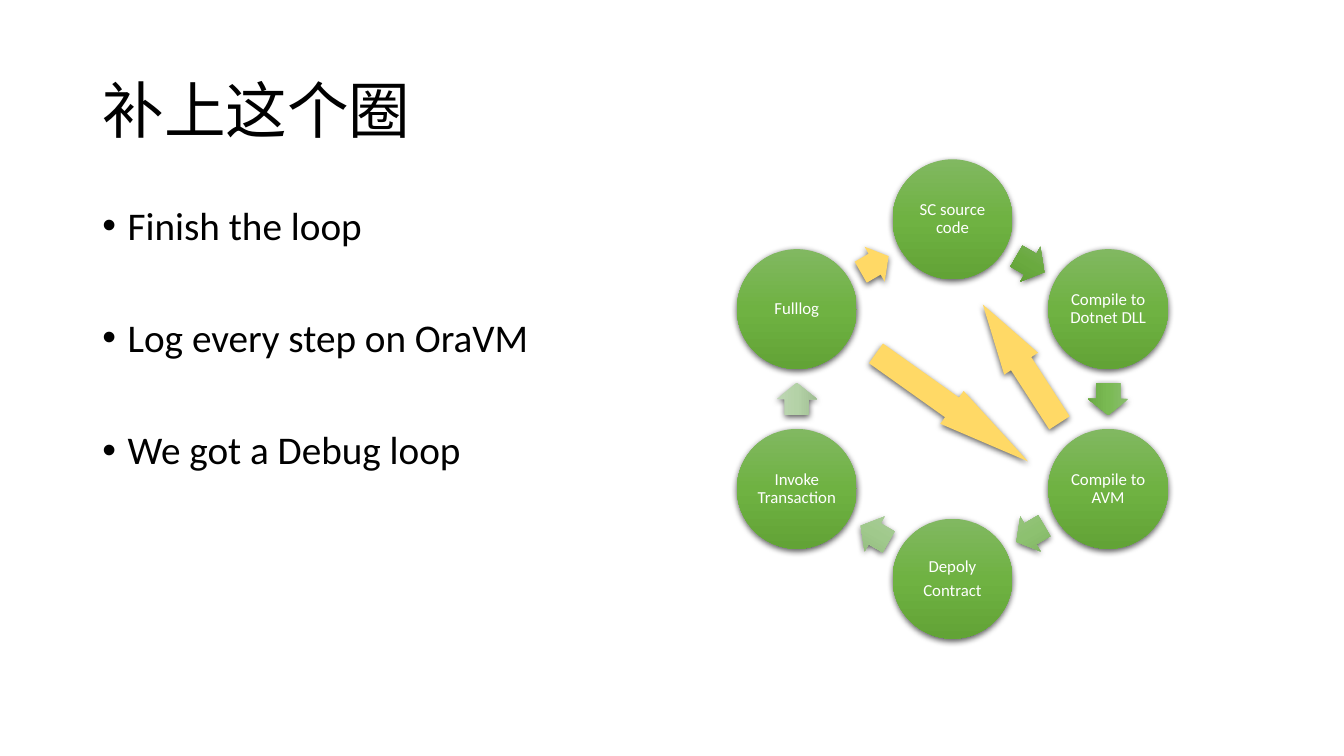
from copy import deepcopy
from math import cos, radians, sin

from lxml.etree import SubElement
from pptx import Presentation
from pptx.dml.color import RGBColor
from pptx.enum.shapes import MSO_SHAPE
from pptx.enum.text import MSO_ANCHOR, MSO_AUTO_SIZE, PP_ALIGN
from pptx.oxml.ns import qn
from pptx.util import Pt

# Content
TITLE = "补上这个圈"
BULLETS = ["Finish the loop", "Log every step on OraVM", "We got a Debug loop"]
STEPS = ["SC source code", "Compile to Dotnet DLL", "Compile to AVM",
         "Depoly\nContract", "Invoke Transaction", "Fulllog"]
STEP_FILL = ["81B861", "6FB242", "62A336"]
YELLOW = ["FFD966"]
# Fill of the arrow that leaves each step
ARROW_FILLS = [
    ["7DB060", "6AAA3F", "5D9B34"],
    ["8ABD6F", "7ABA53", "6BAA45"],
    ["9BC585", "8DC170", "7CAF60"],
    ["ACCD9C", "A0C98C", "8DB679"],
    ["BED6B4", "B4D2A7", "9FBD92"],
    YELLOW,
]
# Centre x, centre y, length, direction
SHORTCUTS = [(680, 291, 133.2, 35.4), (729.4, 259.8, 100.8, 237.1)]

FONT = "Calibri"
CENTER_X, CENTER_Y, RING_RADIUS = 680.4, 285, 128.4
STEP_SIZE = 85.6
ARROW_LENGTH, ARROW_WIDTH = 23, 28.8


def color(value):
    return RGBColor.from_string(value)


def style_text(para, size, value):
    para.line_spacing = 0.9
    for span in para.runs:
        span.font.name = FONT
        span.font.size = Pt(size)
        span.font.color.rgb = color(value)


def place(shape, left, top, width, height):
    shape.left, shape.top = Pt(left), Pt(top)
    shape.width, shape.height = Pt(width), Pt(height)


def paint(shape, colors):
    """One colour fills solid; several make a top-to-bottom gradient."""
    if len(colors) == 1:
        shape.fill.solid()
        shape.fill.fore_color.rgb = color(colors[0])
    else:
        shape.fill.gradient()
        shape.fill.gradient_angle = 270
        stop_list = shape._element.spPr.find(".//" + qn("a:gsLst"))
        stop_list.append(deepcopy(stop_list[0]))
        for index, stop in enumerate(shape.fill.gradient_stops):
            stop.position = index / (len(colors) - 1)
            stop.color.rgb = color(colors[index])
    shape.line.fill.background()

    # Soft shadow below
    shape.shadow.inherit = False
    effects = shape._element.spPr.find(qn("a:effectLst"))
    shadow = SubElement(effects, qn("a:outerShdw"), blurRad=str(Pt(4.5)),
                        dist=str(Pt(1.5)), dir="5400000", algn="ctr", rotWithShape="0")
    black = SubElement(shadow, qn("a:srgbClr"), val="000000")
    SubElement(black, qn("a:alpha"), val="63000")


def add_centered(page, kind, x, y, width, height, colors):
    shape = page.shapes.add_shape(kind, Pt(x - width / 2), Pt(y - height / 2),
                                  Pt(width), Pt(height))
    paint(shape, colors)
    return shape


def add_arrow(page, x, y, length, direction, colors):
    # Leftward arrows use the mirrored preset so their gradient stays upright
    leftward = cos(radians(direction)) < -0.1
    kind = MSO_SHAPE.LEFT_ARROW if leftward else MSO_SHAPE.RIGHT_ARROW
    arrow = add_centered(page, kind, x, y, length, ARROW_WIDTH, colors)
    arrow.rotation = (direction - 180 if leftward else direction) % 360
    arrow.adjustments[0] = 0.6
    arrow.adjustments[1] = length / 2 / min(length, ARROW_WIDTH)


def add_step(page, text, x, y):
    circle = add_centered(page, MSO_SHAPE.OVAL, x, y, STEP_SIZE, STEP_SIZE, STEP_FILL)
    frame = circle.text_frame
    frame.text = text
    frame.word_wrap = True
    frame.vertical_anchor = MSO_ANCHOR.MIDDLE
    frame.margin_left = frame.margin_right = Pt(1)
    frame.margin_top = frame.margin_bottom = Pt(1)
    for para in frame.paragraphs:
        para.alignment = PP_ALIGN.CENTER
        para.space_after = Pt(4.2)
        style_text(para, 12, "FFFFFF")


def main():
    deck = Presentation()
    deck.slide_width, deck.slide_height = Pt(960), Pt(540)
    page = deck.slides.add_slide(deck.slide_layouts[1])

    # Title
    title = page.shapes.title
    place(title, 66, 28.75, 828, 104.4)
    title.text_frame.text = TITLE
    title.text_frame.auto_size = MSO_AUTO_SIZE.NONE
    title.text_frame.vertical_anchor = MSO_ANCHOR.MIDDLE
    title.text_frame.paragraphs[0].alignment = PP_ALIGN.LEFT
    style_text(title.text_frame.paragraphs[0], 44, "000000")

    # Bullet list
    body = page.placeholders[1]
    place(body, 66, 143.75, 401, 342.6)
    body.text_frame.text = "\n".join(BULLETS)
    body.text_frame.auto_size = MSO_AUTO_SIZE.NONE
    for index, para in enumerate(body.text_frame.paragraphs):
        para.space_before = Pt(50 if index else 10)
        style_text(para, 28, "000000")
        properties = para._p.get_or_add_pPr()
        properties.set("marL", str(Pt(18)))
        properties.set("indent", str(-Pt(18)))

    # Ring of steps, clockwise from the top, with an arrow after each
    turn = 360 / len(STEPS)
    chord_radius = RING_RADIUS * cos(radians(turn / 2))
    for index, (text, fill) in enumerate(zip(STEPS, ARROW_FILLS)):
        angle = radians(index * turn - 90)
        add_step(page, text, CENTER_X + RING_RADIUS * cos(angle),
                 CENTER_Y + RING_RADIUS * sin(angle))
        middle = radians((index + 0.5) * turn - 90)
        add_arrow(page, CENTER_X + chord_radius * cos(middle),
                  CENTER_Y + chord_radius * sin(middle),
                  ARROW_LENGTH, (index + 0.5) * turn, fill)

    # Shortcuts across the ring
    for x, y, length, direction in SHORTCUTS:
        add_arrow(page, x, y, length, direction, YELLOW)

    deck.save("out.pptx")


if __name__ == "__main__":
    main()
